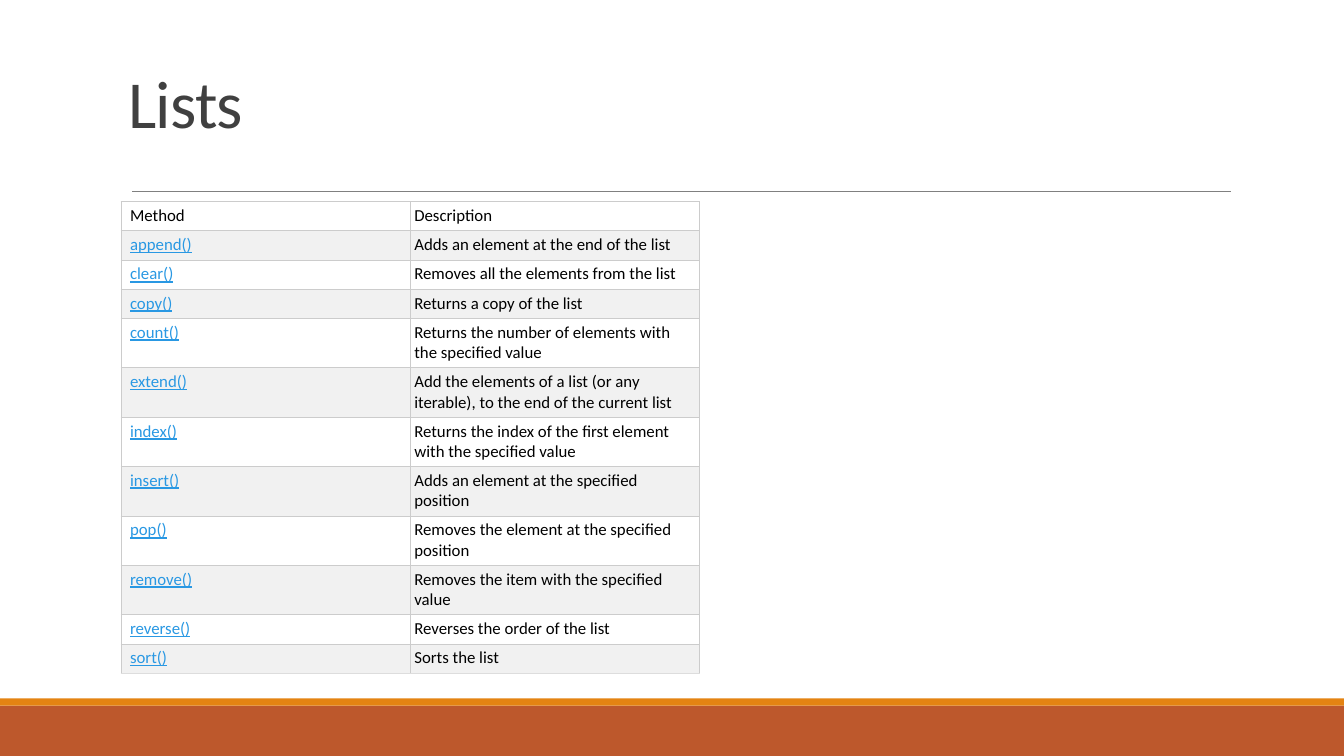
from lxml.etree import SubElement
from pptx import Presentation
from pptx.dml.color import RGBColor
from pptx.enum.shapes import MSO_CONNECTOR, MSO_SHAPE
from pptx.enum.text import MSO_ANCHOR, PP_ALIGN
from pptx.oxml.ns import qn
from pptx.util import Inches, Pt

FONT = "Calibri"
WHITE = RGBColor(0xFF, 0xFF, 0xFF)
BLACK = RGBColor(0x00, 0x00, 0x00)
STRIPE = RGBColor(0xF1, 0xF1, 0xF1)
METHOD_BLUE = RGBColor(0x29, 0x98, 0xE3)
TITLE_GRAY = RGBColor(0x40, 0x40, 0x40)
RULE_GRAY = RGBColor(0x80, 0x80, 0x80)
BORDER = RGBColor(0xCC, 0xCC, 0xCC)
LAST_BORDER = RGBColor(0xDD, 0xDD, 0xDD)
RUST = RGBColor(0xBD, 0x58, 0x2C)
ORANGE = RGBColor(0xE4, 0x83, 0x12)

SINGLE, DOUBLE = 0.29, 0.49
METHODS = [
    ("Method", "Description", SINGLE),
    ("append()", "Adds an element at the end of the list", SINGLE),
    ("clear()", "Removes all the elements from the list", SINGLE),
    ("copy()", "Returns a copy of the list", SINGLE),
    ("count()", "Returns the number of elements with the specified value", DOUBLE),
    ("extend()", "Add the elements of a list (or any iterable), to the end of the current list", DOUBLE),
    ("index()", "Returns the index of the first element with the specified value", DOUBLE),
    ("insert()", "Adds an element at the specified position", DOUBLE),
    ("pop()", "Removes the element at the specified position", DOUBLE),
    ("remove()", "Removes the item with the specified value", DOUBLE),
    ("reverse()", "Reverses the order of the list", SINGLE),
    ("sort()", "Sorts the list", SINGLE),
]


def add_border(cell, side, color):
    line = SubElement(cell._tc.get_or_add_tcPr(), qn(f"a:{side}"), w=str(Pt(0.6)))
    SubElement(SubElement(line, qn("a:solidFill")), qn("a:srgbClr"), val=str(color))


prs = Presentation()
prs.slide_width, prs.slide_height = Inches(13.33), Inches(7.5)
slide = prs.slides.add_slide(prs.slide_layouts[5])

# Footer bands
for top, height, color in [(7, 0.5, RUST), (6.93, 0.07, ORANGE)]:
    band = slide.shapes.add_shape(
        MSO_SHAPE.RECTANGLE, 0, Inches(top), prs.slide_width, Inches(height))
    band.shadow.inherit = False
    band.fill.solid()
    band.fill.fore_color.rgb = color
    band.line.fill.background()

# Rule under the title
rule = slide.shapes.add_connector(
    MSO_CONNECTOR.STRAIGHT, Inches(1.31), Inches(1.9), Inches(12.21), Inches(1.9))
rule.line.color.rgb = RULE_GRAY
rule.line.width = Pt(0.5)
SubElement(rule._element.spPr, qn("a:effectLst"))

# Title
title = slide.shapes.title
title.left, title.top = Inches(1.17), Inches(0.41)
title.width, title.height = Inches(11), Inches(1.05)
title.text_frame.text = "Lists"
title.text_frame.vertical_anchor = MSO_ANCHOR.BOTTOM
heading = title.text_frame.paragraphs[0]
heading.alignment = PP_ALIGN.LEFT
heading.line_spacing = 0.85
heading_run = heading.runs[0]
heading_run.font.name = FONT
heading_run.font.size = Pt(48)
heading_run.font.color.rgb = TITLE_GRAY
heading_run._r.get_or_add_rPr().set("spc", "-50")

# Table of list methods
table_height = sum(height for *_, height in METHODS)
methods = slide.shapes.add_table(
    len(METHODS), 2, Inches(1.2), Inches(2), Inches(5.74), Inches(table_height)).table
methods.first_row = methods.horz_banding = False

for row, (method, description, height) in enumerate(METHODS):
    methods.rows[row].height = Inches(height)
    is_last = row == len(METHODS) - 1
    for column, entry in enumerate((method, description)):
        cell = methods.cell(row, column)
        for side in ("lnL", "lnR", "lnT", "lnB"):
            add_border(cell, side, LAST_BORDER if is_last and side == "lnB" else BORDER)
        cell.fill.solid()
        cell.fill.fore_color.rgb = STRIPE if row % 2 else WHITE
        cell.margin_left = Inches(0.04 if column else 0.09)
        cell.margin_right = cell.margin_top = cell.margin_bottom = Inches(0.04)
        cell.text_frame.text = entry
        font = cell.text_frame.paragraphs[0].runs[0].font
        font.name = FONT
        font.size = Pt(12)
        is_method = row > 0 and column == 0
        font.underline = is_method
        font.color.rgb = METHOD_BLUE if is_method else BLACK

prs.save("out.pptx")
